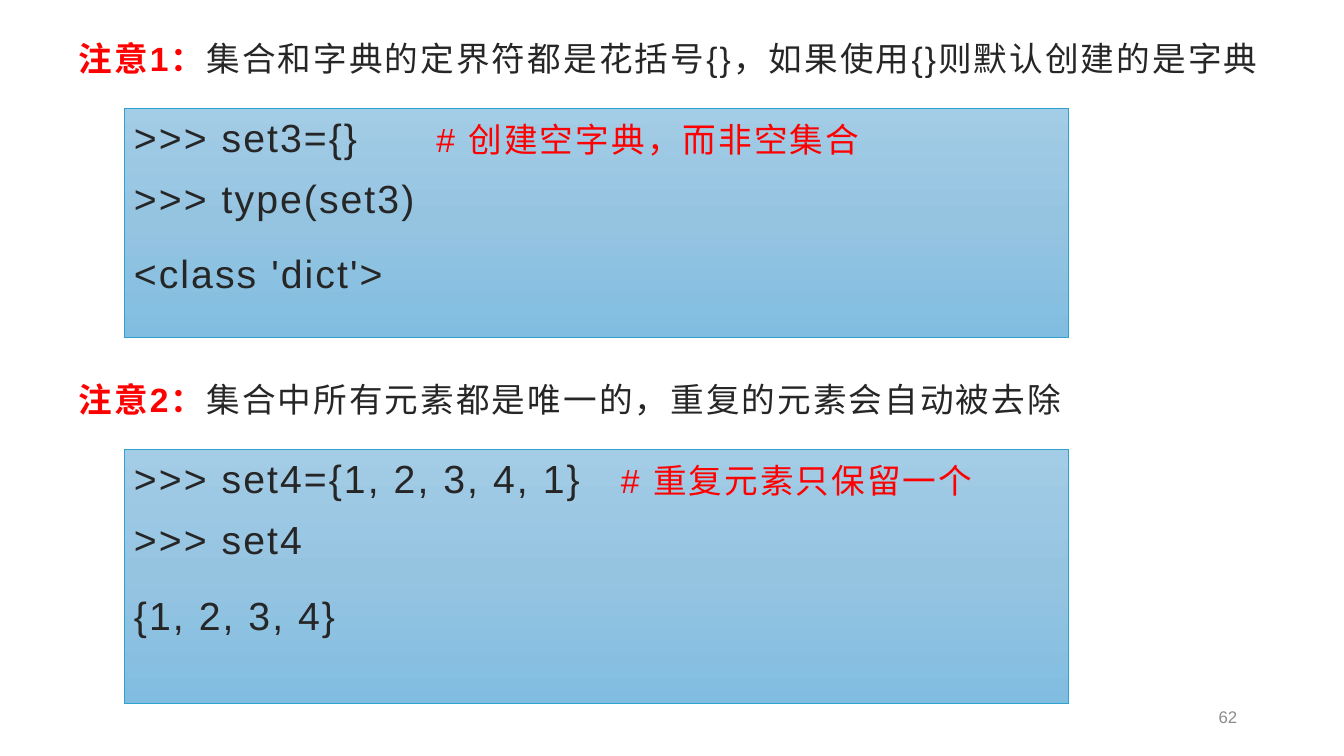
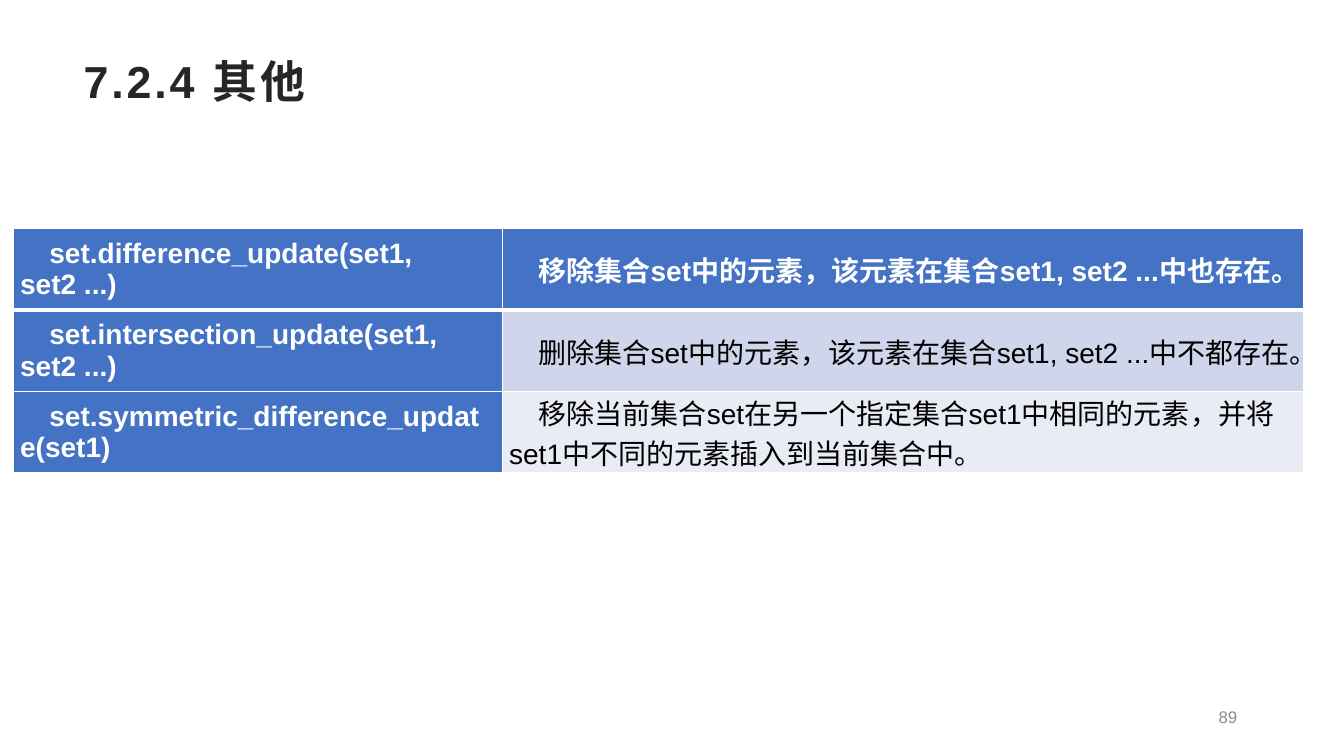
from copy import deepcopy

from pptx import Presentation
from pptx.dml.color import RGBColor
from pptx.enum.shapes import MSO_SHAPE
from pptx.enum.text import MSO_ANCHOR, MSO_AUTO_SIZE, PP_ALIGN
from pptx.oxml import parse_xml
from pptx.oxml.ns import nsdecls, qn
from pptx.util import Pt

PX = 9144  # 100 px to the inch
FONT = "Arial"
COLORS = {
    "text": "262626", "accent": "FF0000", "number": "8C8C8C",
    "code_top": "A3CCE6", "code_middle": "95C4E1", "code_bottom": "81BDE1",
    "code_line": "2FA1CF", "head": "4472C4", "band_dark": "CFD5EA",
    "band_light": "E9EBF5", "white": "FFFFFF", "black": "000000",
}


def color(name):
    return RGBColor.from_string(COLORS[name])


def set_font(paragraph, size, color_name, bold=False, spacing=0):
    """Format a whole paragraph; spacing is in hundredths of a point."""
    font = paragraph.font
    font.name, font.size, font.bold = FONT, Pt(size), bold
    font.color.rgb = color(color_name)
    if spacing:
        paragraph._p.pPr.find(qn("a:defRPr")).set("spc", str(spacing))


presentation = Presentation()
presentation.slide_width = 1333 * PX
presentation.slide_height = 750 * PX
title_only, blank = presentation.slide_layouts[5], presentation.slide_layouts[6]

# Slide 1: two notes, each with a code box
notes_slide = presentation.slides.add_slide(blank)
notes = [
    {"label": "注意1：",
     "text": "集合和字典的定界符都是花括号{}，如果使用{}则默认创建的是字典",
     "note_box": (68, 21, 1204, 63), "code_box": (123, 107, 937, 228),
     "code": [">>> set3={}", ">>> type(set3)", "<class 'dict'>"],
     "comment": "# 创建空字典，而非空集合", "comment_tab": 300},
    {"label": "注意2：",
     "text": "集合中所有元素都是唯一的，重复的元素会自动被去除",
     "note_box": (68, 359, 1187, 63), "code_box": (123, 446, 937, 252),
     "code": [">>> set4={1, 2, 3, 4, 1}", ">>> set4", "{1, 2, 3, 4}"],
     "comment": "# 重复元素只保留一个", "comment_tab": 483},
]
for note in notes:
    code_box = notes_slide.shapes.add_shape(
        MSO_SHAPE.RECTANGLE, *(length * PX for length in note["code_box"]))
    code_box.shadow.inherit = False
    code_box.line.color.rgb = color("code_line")
    code_box.line.width = Pt(0.5)
    code_box.fill.gradient()
    code_box.fill.gradient_angle = 270
    stop_list = code_box._element.spPr.find(".//" + qn("a:gsLst"))
    stop_list.insert(1, deepcopy(stop_list[0]))
    stops = zip(code_box.fill.gradient_stops, (0, 0.5, 1),
                ("code_top", "code_middle", "code_bottom"))
    for stop, position, color_name in stops:
        stop.position = position
        stop.color.rgb = color(color_name)

    frame = code_box.text_frame
    frame.word_wrap = True
    frame.vertical_anchor = MSO_ANCHOR.TOP
    for index, line in enumerate(note["code"]):
        paragraph = frame.add_paragraph() if index else frame.paragraphs[0]
        paragraph.alignment = PP_ALIGN.LEFT
        paragraph.add_run().text = line
        if index:
            paragraph.line_spacing = 1.3
            paragraph.space_after = Pt(10)
        else:
            paragraph._p.get_or_add_pPr().append(parse_xml(
                f'<a:tabLst {nsdecls("a")}>'
                f'<a:tab pos="{note["comment_tab"] * PX}" algn="l"/></a:tabLst>'))
            comment = paragraph.add_run()
            comment.text = "\t" + note["comment"]
            comment.font.size = Pt(24)
            comment.font.color.rgb = color("accent")
        set_font(paragraph, 28, "text", spacing=150)

    note_box = notes_slide.shapes.add_textbox(
        *(length * PX for length in note["note_box"]))
    note_box.text_frame.word_wrap = True
    paragraph = note_box.text_frame.paragraphs[0]
    paragraph.line_spacing = 1.3
    paragraph.space_after = Pt(10)
    label = paragraph.add_run()
    label.text = note["label"]
    label.font.bold = True
    label.font.color.rgb = color("accent")
    paragraph.add_run().text = note["text"]
    set_font(paragraph, 24, "text", spacing=150)

# Slide 2: table of set methods
methods_slide = presentation.slides.add_slide(title_only)
title = methods_slide.shapes.title
title.left, title.top, title.width, title.height = (
    length * PX for length in (73, 48, 1187, 78))
title.text_frame.text = "7.2.4 其他"
title.text_frame.vertical_anchor = MSO_ANCHOR.TOP
title.text_frame.auto_size = MSO_AUTO_SIZE.NONE
title.text_frame.paragraphs[0].alignment = PP_ALIGN.LEFT
set_font(title.text_frame.paragraphs[0], 32, "text", bold=True, spacing=200)

methods = [
    ("set.difference_update(set1, set2 ...)",
     "移除集合set中的元素，该元素在集合set1, set2 ...中也存在。"),
    ("set.intersection_update(set1, set2 ...)",
     "删除集合set中的元素，该元素在集合set1, set2 ...中不都存在。"),
    ("set.symmetric_difference_update(set1)",
     "移除当前集合set在另一个指定集合set1中相同的元素，并将set1中不同的元素插入到当前集合中。"),
]
table = methods_slide.shapes.add_table(
    len(methods), 2, 13 * PX, 227 * PX, 1280 * PX, 216 * PX).table
for column, width in zip(table.columns, (485, 795)):
    column.width = width * PX
for row_index, row in enumerate(methods):
    for column_index, text in enumerate(row):
        cell = table.cell(row_index, column_index)
        cell.text = text
        cell.vertical_anchor = MSO_ANCHOR.MIDDLE
        cell.margin_left = cell.margin_right = 7 * PX
        cell.margin_top = cell.margin_bottom = 0
        is_head = row_index == 0 or column_index == 0
        band = "band_dark" if row_index % 2 else "band_light"

        properties = cell._tc.get_or_add_tcPr()
        for side in "LRTB":
            thick = (row_index, side) in ((0, "B"), (1, "T"))
            properties.append(parse_xml(
                f'<a:ln{side} {nsdecls("a")} w="{Pt(3 if thick else 1)}"><a:solidFill>'
                f'<a:srgbClr val="{COLORS["white"]}"/></a:solidFill></a:ln{side}>'))
        cell.fill.solid()
        cell.fill.fore_color.rgb = color("head" if is_head else band)

        paragraph = cell.text_frame.paragraphs[0]
        paragraph._p.get_or_add_pPr().set("indent", str(29 * PX))
        set_font(paragraph, 20, "white" if is_head else "black", bold=is_head)

# Page numbers
for slide, number in ((notes_slide, "62"), (methods_slide, "89")):
    number_box = slide.shapes.add_textbox(942 * PX, 694 * PX, 295 * PX, 35 * PX)
    number_box.text_frame.word_wrap = True
    number_box.text_frame.vertical_anchor = MSO_ANCHOR.MIDDLE
    paragraph = number_box.text_frame.paragraphs[0]
    paragraph.text = number
    paragraph.alignment = PP_ALIGN.RIGHT
    set_font(paragraph, 12, "number")

presentation.save("out.pptx")
